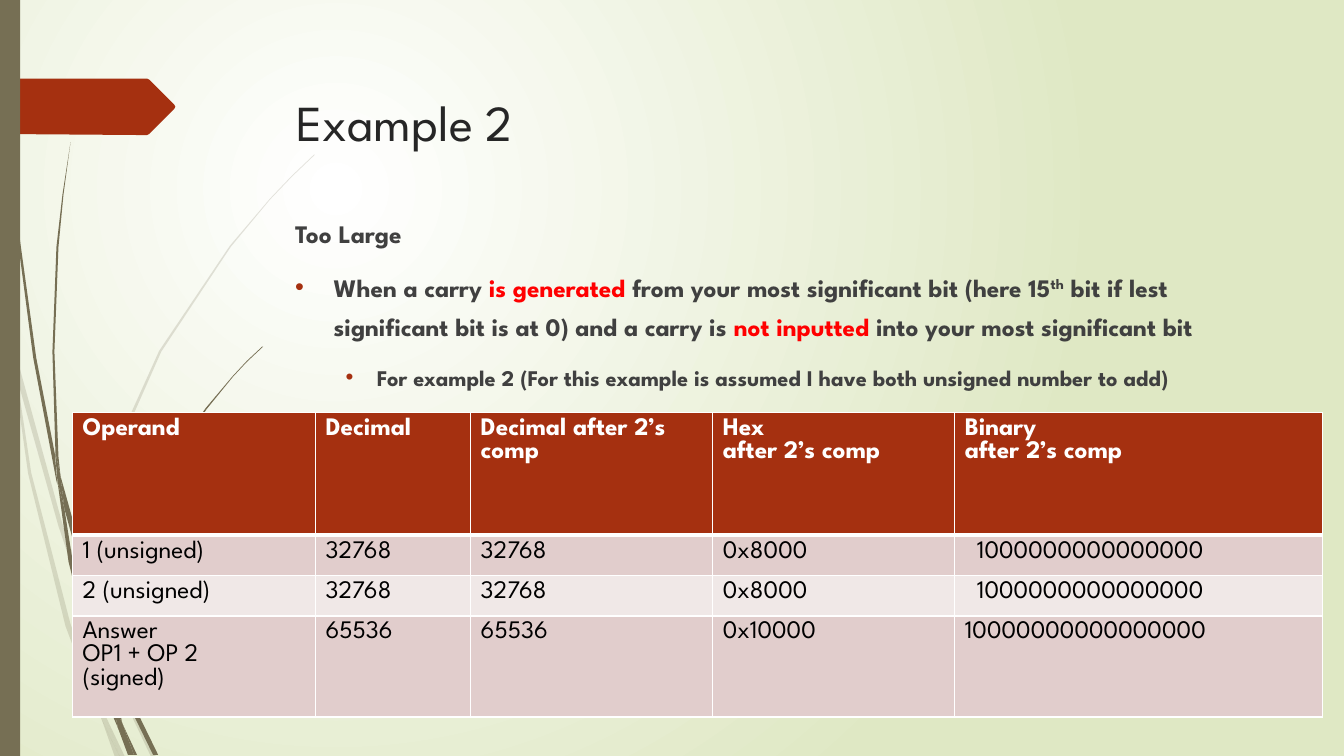
from dataclasses import dataclass

from lxml.etree import SubElement
from pptx import Presentation
from pptx.dml.color import RGBColor
from pptx.enum.shapes import MSO_SHAPE
from pptx.enum.text import MSO_ANCHOR, PP_ALIGN
from pptx.oxml import parse_xml
from pptx.oxml.ns import nsdecls, qn
from pptx.util import Cm, Pt

FONT = "League Spartan"
COLORS = {
    "white": "FFFFFF", "meadow": "DFE8C4", "olive": "766F54", "rust": "A53010",
    "title": "262626", "body": "404040", "red": "FF0000", "black": "000000",
    "odd": "E1CDCC", "even": "F0E8E7",
}
UNIT = Cm(0.0254)  # outlines are given in hundredths of an inch


@dataclass
class Outline:
    points: list[tuple[int, int]]
    color: str = "olive"
    opacity: int = 100


@dataclass
class Span:
    text: str
    color: str = "body"
    superscript: bool = False


@dataclass
class Line:
    spans: list[Span]
    size: int = 18
    level: int = 0
    indent: float = 0
    hanging: float = 0


PALE_STEMS = [
    [(11, 350), (9, 322), (0, 282), (0, 299), (10, 344)],
    [(58, 522), (84, 599), (85, 586), (62, 520), (14, 345), (17, 376)],
    [(92, 607), (88, 596), (88, 610), (123, 694), (150, 751), (155, 751), (127, 692)],
    [(119, 751), (124, 751), (105, 711)],
    [(93, 683), (70, 619), (31, 469), (17, 376), (11, 350), (28, 470), (65, 621),
     (92, 693), (101, 714), (99, 707)],
    [(84, 599), (87, 646), (93, 683), (96, 692), (105, 711), (103, 706), (91, 646),
     (88, 610), (88, 608)],
    [(88, 584), (110, 462), (160, 349), (229, 245), (268, 198), (290, 175), (312, 154),
     (312, 153), (289, 175), (268, 197), (228, 244), (158, 348), (107, 461), (85, 584),
     (85, 586), (88, 596)],
    [(101, 714), (114, 751), (119, 751)],
    [(88, 608), (88, 610), (88, 596), (85, 586), (84, 599)],
    [(96, 692), (93, 683), (99, 707), (101, 714), (119, 751), (105, 711)],
]
DARK_STEMS = [
    [(7, 110), (17, 233), (33, 355), (56, 477), (57, 481), (55, 457), (55, 453),
     (36, 355), (19, 232), (8, 109), (5, 48), (4, 0), (3, 0), (4, 48)],
    [(88, 592), (106, 645), (106, 631), (93, 590), (60, 472), (64, 505)],
    [(113, 649), (110, 641), (111, 656), (132, 708), (152, 749), (157, 749), (136, 706)],
    [(110, 691), (98, 657), (72, 556), (64, 505), (57, 477), (68, 557), (93, 659),
     (111, 708), (117, 722), (116, 717)],
    [(60, 472), (58, 453), (54, 349), (58, 245), (63, 193), (70, 141), (62, 193),
     (56, 245), (52, 349), (55, 449)],
    [(133, 749), (136, 749), (122, 719)],
    [(57, 477), (64, 505), (60, 472), (55, 449), (55, 453)],
    [(111, 633), (125, 552), (158, 476), (205, 406), (231, 374), (245, 359), (261, 344),
     (260, 344), (245, 358), (231, 373), (204, 405), (156, 474), (122, 551), (106, 631),
     (110, 641)],
    [(117, 722), (127, 749), (131, 749)],
    [(106, 645), (110, 691), (116, 706), (122, 719), (121, 716), (111, 656), (109, 651)],
    [(106, 645), (109, 651), (111, 656), (110, 641), (106, 631)],
    [(116, 706), (110, 691), (116, 717), (117, 722), (130, 749), (133, 749), (122, 719)],
]
TITLE_ARROW = [(173, 108), (148, 133), (146, 134), (136, 134), (0, 133), (0, 78),
               (146, 78), (148, 79), (173, 104), (174, 106)]
OUTLINES = [
    *(Outline(points, opacity=20) for points in PALE_STEMS),
    *(Outline(points) for points in DARK_STEMS),
    Outline(TITLE_ARROW, "rust"),
]

BODY = [
    Line([Span("Too Large")]),
    Line([
        Span("When a carry "), Span("is generated ", "red"),
        Span("from your most significant bit (here 15"), Span("th", superscript=True),
        Span(" bit if lest significant bit is at 0) and a carry is "),
        Span("not inputted ", "red"), Span("into your most significant bit"),
    ], indent=0.97, hanging=0.97),
    Line([Span("For example 2 (For this example is assumed I have both unsigned number to add)")],
         size=16, level=1, indent=2.06, hanging=0.79),
]

COLUMN_WIDTHS = [6.12, 3.91, 6.1, 6.1, 9.27]
ROW_HEIGHTS = [3.1, 0.97, 0.97, 1.68]
OPERANDS = [
    ["Operand", "Decimal", "Decimal after 2’s comp", "Hex\nafter 2’s comp",
     "Binary\nafter 2’s comp"],
    ["1 (unsigned)", "32768", "32768", "0x8000", "1000000000000000"],
    ["2 (unsigned)", "32768", "32768", "0x8000", "1000000000000000"],
    ["Answer\nOP1 + OP 2\n(signed)", "65536", "65536", "0x10000", "10000000000000000"],
]


def rgb(name: str) -> RGBColor:
    return RGBColor.from_string(COLORS[name])


def paint(shape, color: str, opacity: int = 100) -> None:
    shape.shadow.inherit = False
    shape.line.fill.background()
    shape.fill.solid()
    shape.fill.fore_color.rgb = rgb(color)
    if opacity < 100:
        tint = shape.fill._xPr.find(f".//{qn('a:srgbClr')}")
        SubElement(tint, qn("a:alpha"), val=str(opacity * 1000))


def style_font(font, size: int, bold: bool, color: str) -> None:
    font.name, font.size, font.bold = FONT, Pt(size), bold
    font.color.rgb = rgb(color)


def draw_background(slide) -> None:
    stops = "".join(
        f'<a:gs pos="{position}"><a:srgbClr val="{COLORS[color]}"/></a:gs>'
        for position, color in ((0, "white"), (100000, "meadow")))
    slide._element.cSld.insert(0, parse_xml(
        f'<p:bg {nsdecls("p", "a")}><p:bgPr><a:gradFill rotWithShape="1">'
        f'<a:gsLst>{stops}</a:gsLst><a:path path="circle">'
        '<a:fillToRect l="50000" t="50000" r="100000" b="100000"/></a:path>'
        '</a:gradFill><a:effectLst/></p:bgPr></p:bg>'))


def draw_outline(slide, outline: Outline) -> None:
    start, *rest = outline.points
    builder = slide.shapes.build_freeform(*start, scale=UNIT)
    builder.add_line_segments(rest, close=True)
    paint(builder.convert_to_shape(), outline.color, outline.opacity)


def write_line(paragraph, line: Line) -> None:
    paragraph.level = line.level
    paragraph.space_before = Pt(10)
    paragraph.line_spacing = 1.3
    style_font(paragraph.font, line.size, True, "body")
    if line.hanging:
        properties = paragraph._p.get_or_add_pPr()
        properties.set("marL", str(Cm(line.indent)))
        properties.set("indent", str(-Cm(line.hanging)))
        bullet = (f'<a:buClr {nsdecls("a")}><a:srgbClr val="{COLORS["rust"]}"/></a:buClr>',
                  f'<a:buFont {nsdecls("a")} typeface="Arial"/>',
                  f'<a:buChar {nsdecls("a")} char="•"/>')
        defaults = properties.find(qn("a:defRPr"))
        for part in bullet:
            defaults.addprevious(parse_xml(part))
    for span in line.spans:
        run = paragraph.add_run()
        run.text = span.text
        style_font(run.font, line.size, True, span.color)
        if span.superscript:
            run._r.get_or_add_rPr().set("baseline", "30000")


def fill_cell(cell, text: str, row: int) -> None:
    header = row == 0
    cell.text = text
    for paragraph in cell.text_frame.paragraphs:
        style_font(paragraph.font, 18, header, "white" if header else "black")
    cell.fill.solid()
    cell.fill.fore_color.rgb = rgb("rust" if header else "odd" if row % 2 else "even")
    widths = {"lnL": 1, "lnR": 1, "lnT": 3 if row == 1 else 1, "lnB": 3 if header else 1}
    for place, (side, width) in enumerate(widths.items()):
        cell._tc.get_or_add_tcPr().insert(place, parse_xml(
            f'<a:{side} {nsdecls("a")} w="{Pt(width)}"><a:solidFill>'
            f'<a:srgbClr val="{COLORS["white"]}"/></a:solidFill></a:{side}>'))


def draw_operands(slide) -> None:
    operands = slide.shapes.add_table(
        len(OPERANDS), len(COLUMN_WIDTHS), Cm(1.83), Cm(10.39),
        Cm(sum(COLUMN_WIDTHS)), Cm(sum(ROW_HEIGHTS))).table
    for column, width in zip(operands.columns, COLUMN_WIDTHS):
        column.width = Cm(width)
    for row, (height, texts) in enumerate(zip(ROW_HEIGHTS, OPERANDS)):
        operands.rows[row].height = Cm(height)
        for column, text in enumerate(texts):
            fill_cell(operands.cell(row, column), text, row)
    # The 16-bit values stand in from the 17-bit answer
    for row in (1, 2):
        operands.cell(row, 4).margin_left = Cm(0.56)


def main() -> None:
    deck = Presentation()
    deck.slide_width, deck.slide_height = Cm(33.87), Cm(19.05)
    slide = deck.slides.add_slide(deck.slide_layouts[5])

    # Backdrop, grass stems, side bar and title arrow
    draw_background(slide)
    for outline in OUTLINES:
        draw_outline(slide, outline)
    side_bar = slide.shapes.add_shape(MSO_SHAPE.RECTANGLE, 0, 0, Cm(0.51), deck.slide_height)
    paint(side_bar, "olive")

    # Title
    title = slide.shapes.title
    title.left, title.top, title.width, title.height = Cm(7.21), Cm(1.73), Cm(24.77), Cm(3.56)
    title.text_frame.text = "Example 2"
    title.text_frame.vertical_anchor = MSO_ANCHOR.TOP
    title.text_frame.margin_top = Cm(0.56)
    heading = title.text_frame.paragraphs[0]
    heading.alignment = PP_ALIGN.LEFT
    style_font(heading.font, 36, False, "title")

    # Explanation
    body = slide.shapes.add_textbox(Cm(7.19), Cm(5.16), Cm(24.77), Cm(10.49)).text_frame
    body.word_wrap = True
    for index, line in enumerate(BODY):
        write_line(body.add_paragraph() if index else body.paragraphs[0], line)

    # Operands
    draw_operands(slide)
    deck.save("out.pptx")


if __name__ == "__main__":
    main()
